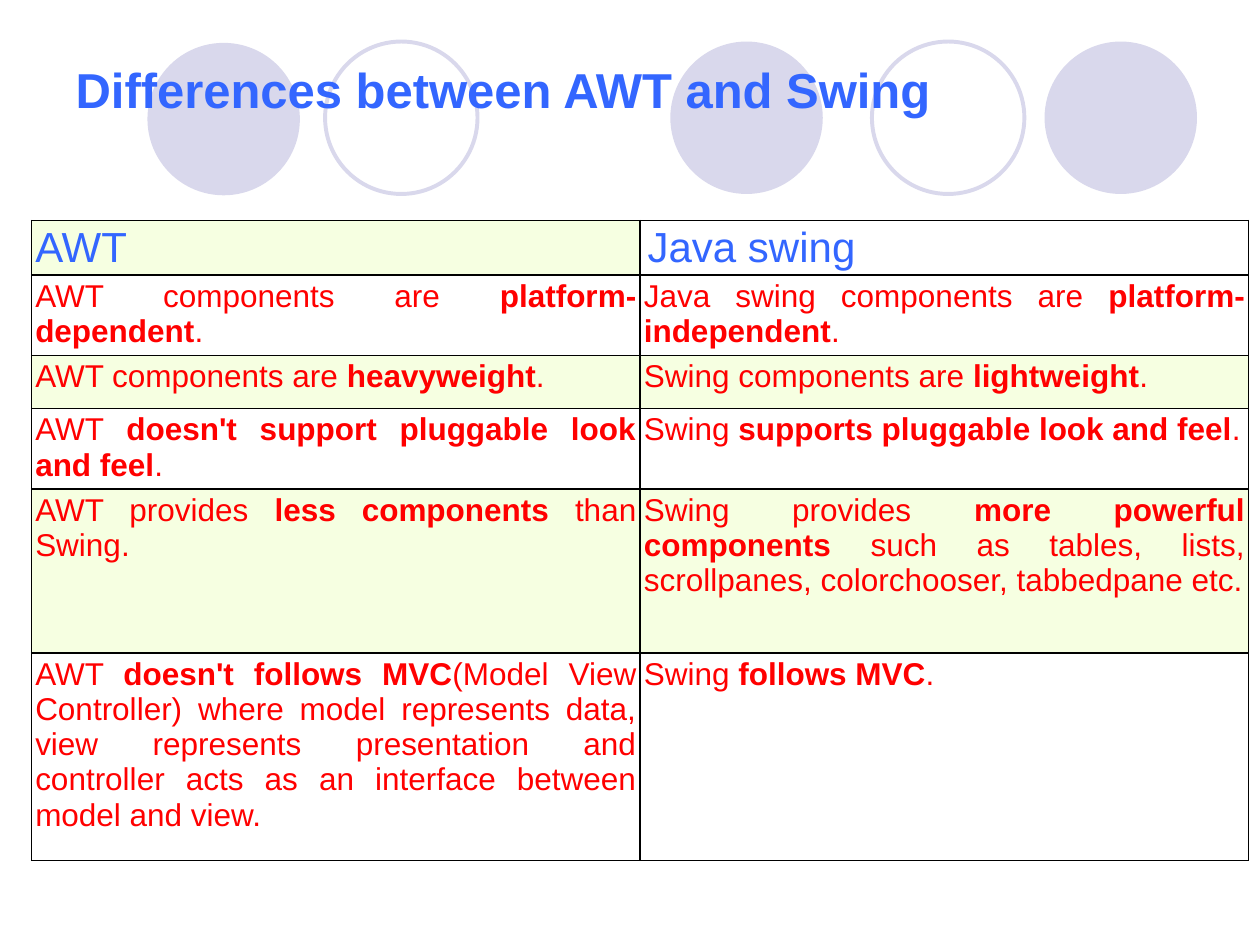
from dataclasses import dataclass

from lxml import etree
from pptx import Presentation
from pptx.dml.color import RGBColor
from pptx.enum import shapes, text
from pptx.oxml import ns
from pptx.util import Inches, Pt


@dataclass(frozen=True)
class Theme:
    font: str = "Arial"
    accent: RGBColor = RGBColor(0x33, 0x66, 0xFF)
    body: RGBColor = RGBColor(0xFF, 0x00, 0x00)
    circle: RGBColor = RGBColor(0xD9, 0xD8, 0xEC)
    band: RGBColor = RGBColor(0xF6, 0xFF, 0xE1)
    plain: RGBColor = RGBColor(0xFF, 0xFF, 0xFF)
    border: str = "000000"
    title_size: Pt = Pt(28)
    header_size: Pt = Pt(24)
    body_size: Pt = Pt(18)


@dataclass(frozen=True)
class Circle:
    left: float
    top: float
    filled: bool


@dataclass(frozen=True)
class Phrase:
    lead: str
    bold: str
    tail: str = "."


@dataclass(frozen=True)
class Comparison:
    height: float
    awt: Phrase
    swing: Phrase


THEME = Theme()
CIRCLE_SIZE = 1.21
CIRCLES = [
    Circle(5.32, 0.33, True),
    Circle(8.29, 0.33, True),
    Circle(1.17, 0.34, True),
    Circle(6.92, 0.33, False),
    Circle(2.58, 0.33, False),
]
HEADERS = ["AWT", "Java swing"]
HEADER_HEIGHT = 0.35
COLUMN_WIDTH = 4.83
COMPARISONS = [
    Comparison(0.64, Phrase("AWT components are ", "platform-dependent"),
               Phrase("Java swing components are ", "platform-independent")),
    Comparison(0.42, Phrase("AWT components are ", "heavyweight"),
               Phrase("Swing components are ", "lightweight")),
    Comparison(0.64, Phrase("AWT ", "doesn't support pluggable look and feel"),
               Phrase("Swing ", "supports pluggable look and feel")),
    Comparison(1.3, Phrase("AWT provides ", "less components", " than Swing."),
               Phrase("Swing provides ", "more powerful components",
                      " such as tables, lists, scrollpanes, colorchooser, tabbedpane etc.")),
    Comparison(1.65, Phrase("AWT ", "doesn't follows MVC",
                            "(Model View Controller) where model represents data, view represents "
                            "presentation and controller acts as an interface between model and view."),
               Phrase("Swing ", "follows MVC")),
]


def style_font(font, size: Pt, color: RGBColor) -> None:
    font.name, font.size = THEME.font, size
    font.color.rgb = color


def draw_circle(s, circle: Circle) -> None:
    sp = s.shapes.add_shape(shapes.MSO_SHAPE.OVAL, Inches(circle.left), Inches(circle.top),
                            Inches(CIRCLE_SIZE), Inches(CIRCLE_SIZE))
    sp.shadow.inherit = False
    if circle.filled:
        sp.fill.solid()
        sp.fill.fore_color.rgb = THEME.circle
        sp.line.fill.background()
    else:
        sp.fill.background()
        sp.line.color.rgb = THEME.circle
        sp.line.width = Pt(2.25)


def write_title(s) -> None:
    sp = s.shapes.title
    sp.left, sp.top, sp.width, sp.height = map(Inches, (0.5, 0.42, 8.58, 1.04))
    tf = sp.text_frame
    tf.text = "Differences between AWT and Swing"
    tf.vertical_anchor = text.MSO_ANCHOR.TOP
    tf.auto_size = text.MSO_AUTO_SIZE.NONE
    p = tf.paragraphs[0]
    p.alignment = text.PP_ALIGN.LEFT
    style_font(p.font, THEME.title_size, THEME.accent)
    p.font.bold = True
    s.shapes._spTree.append(sp._element)  # in front of the circles


def format_cell(cell, fill: RGBColor | None, side_margin: float = 0.03) -> None:
    """Set margins, borders and fill; borders must precede the fill in the XML."""
    cell.margin_left = cell.margin_right = Inches(side_margin)
    cell.margin_top = cell.margin_bottom = Inches(0.03)
    tc_pr = cell._tc.get_or_add_tcPr()
    for side in ("lnL", "lnR", "lnT", "lnB"):
        ln = etree.SubElement(tc_pr, ns.qn(f"a:{side}"), w=str(Pt(1)))
        solid = etree.SubElement(ln, ns.qn("a:solidFill"))
        etree.SubElement(solid, ns.qn("a:srgbClr"), val=THEME.border)
    if fill is None:
        cell.fill.background()
    else:
        cell.fill.solid()
        cell.fill.fore_color.rgb = fill


def write_phrase(cell, phrase: Phrase) -> None:
    p = cell.text_frame.paragraphs[0]
    p.alignment = text.PP_ALIGN.JUSTIFY
    style_font(p.font, THEME.body_size, THEME.body)
    for content, bold in ((phrase.lead, False), (phrase.bold, True), (phrase.tail, False)):
        r = p.add_run()
        r.text = content
        r.font.bold = bold


def draw_table(s) -> None:
    heights = [HEADER_HEIGHT] + [c.height for c in COMPARISONS]
    table = s.shapes.add_table(len(heights), len(HEADERS), Inches(0.25), Inches(1.75),
                               Inches(COLUMN_WIDTH * len(HEADERS)), Inches(sum(heights))).table
    table.first_row = table.horz_banding = False
    for column in table.columns:
        column.width = Inches(COLUMN_WIDTH)
    for row, height in zip(table.rows, heights):
        row.height = Inches(height)

    header_looks = [(THEME.band, 0.03), (None, 0.06)]
    for col, (label, (fill, margin)) in enumerate(zip(HEADERS, header_looks)):
        cell = table.cell(0, col)
        cell.text = label
        style_font(cell.text_frame.paragraphs[0].font, THEME.header_size, THEME.accent)
        format_cell(cell, fill, margin)

    for row, comparison in enumerate(COMPARISONS, start=1):
        for col, phrase in enumerate((comparison.awt, comparison.swing)):
            cell = table.cell(row, col)
            write_phrase(cell, phrase)
            format_cell(cell, THEME.plain if row % 2 else THEME.band)


def main() -> None:
    prs = Presentation()
    prs.slide_width, prs.slide_height = Inches(10), Inches(7.5)
    s = prs.slides.add_slide(prs.slide_layouts[5])
    for circle in CIRCLES:
        draw_circle(s, circle)
    draw_table(s)
    write_title(s)
    prs.save("out.pptx")


if __name__ == "__main__":
    main()
